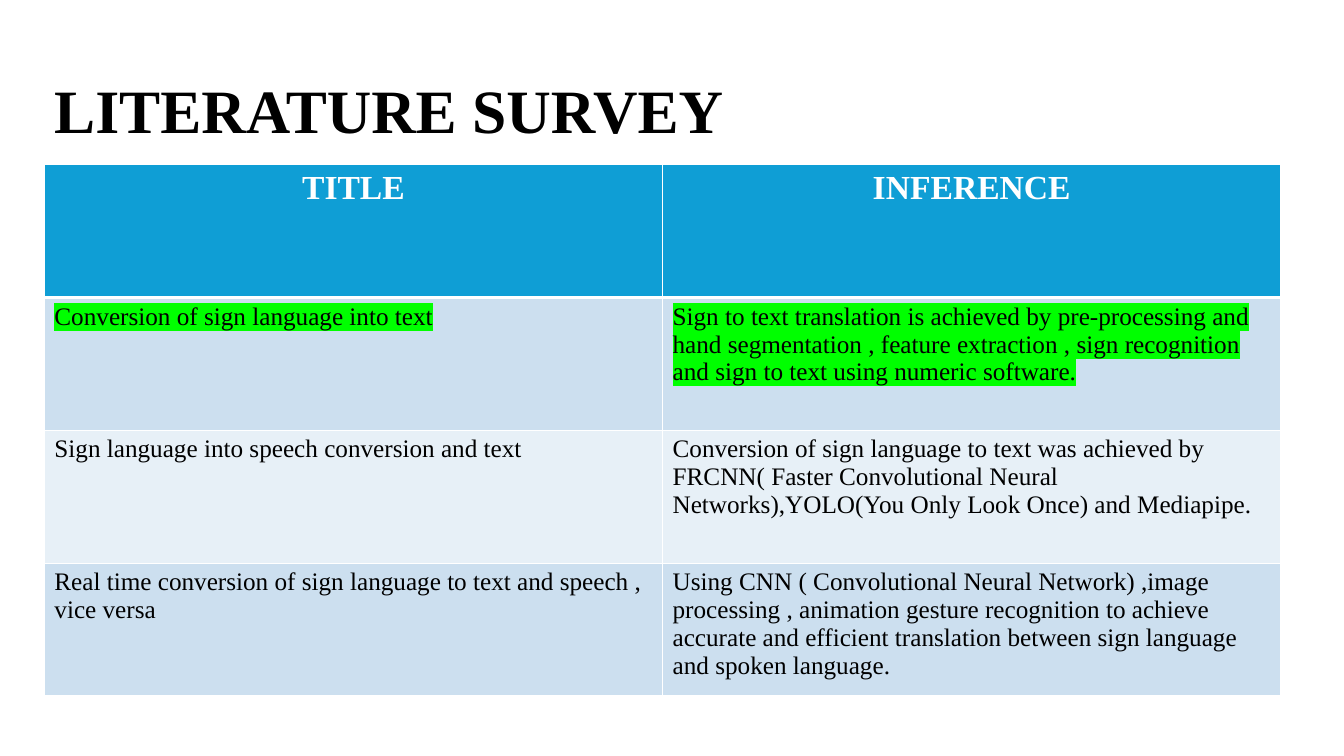
from lxml.etree import SubElement
from pptx import Presentation
from pptx.dml.color import RGBColor
from pptx.enum.text import MSO_ANCHOR as Anchor, PP_ALIGN as Align
from pptx.oxml import parse_xml
from pptx.oxml.ns import nsdecls, qn
from pptx.util import Pt

FONT = "Times New Roman"
COLORS = {
    "text": "000000",
    "white": "FFFFFF",
    "header": "0F9ED5",
    "odd_row": "CCDFEF",
    "even_row": "E7F0F7",
    "highlight": "00FF00",
}
LEFT = Pt(31.7)
COLUMN_WIDTH = Pt(441.6)
ROW_HEIGHT = Pt(94.9)
HEADINGS = ["TITLE", "INFERENCE"]
SURVEY = [
    (
        ["Conversion of sign language into text"],
        ["Sign to text translation is achieved by pre-processing and hand "
         "segmentation , feature extraction , sign recognition and sign to text "
         "using numeric software."],
    ),
    (
        ["Sign language into speech conversion and text"],
        ["Conversion of sign language to text was achieved by",
         "FRCNN( Faster Convolutional Neural Networks),YOLO(You Only Look Once) "
         "and Mediapipe."],
    ),
    (
        ["Real time conversion of sign language to text and speech , vice versa"],
        ["Using CNN ( Convolutional Neural Network) ,image processing , animation "
         "gesture recognition to achieve accurate and efficient translation "
         "between sign language and spoken language."],
    ),
]


def add_span(para, text, size, color, bold=False, highlight=None):
    span = para.add_run()
    span.text = text
    font = span.font
    font.size = Pt(size)
    font.bold = bold
    font.color.rgb = RGBColor.from_string(COLORS[color])
    font.name = FONT
    if highlight:
        mark = parse_xml(
            f'<a:highlight {nsdecls("a")}><a:srgbClr val="{COLORS[highlight]}"/></a:highlight>'
        )
        font._element.find(qn("a:latin")).addprevious(mark)


def add_title(page, text):
    box = page.shapes.add_textbox(LEFT, Pt(28.8), Pt(861.8), Pt(104.4))
    frame = box.text_frame
    frame.word_wrap = True
    frame.vertical_anchor = Anchor.MIDDLE
    para = frame.paragraphs[0]
    para.line_spacing = 0.9
    add_span(para, text, 44, "text", bold=True)


def set_borders(cell, top=1, bottom=1):
    properties = cell._tc.get_or_add_tcPr()
    widths = {"lnL": 1, "lnR": 1, "lnT": top, "lnB": bottom}
    for side, width in widths.items():
        line = SubElement(properties, qn(f"a:{side}"), w=str(Pt(width)))
        fill = SubElement(line, qn("a:solidFill"))
        SubElement(fill, qn("a:srgbClr"), val=COLORS["white"])


def fill_cell(cell, lines, fill, align, **style):
    cell.fill.solid()
    cell.fill.fore_color.rgb = RGBColor.from_string(COLORS[fill])
    frame = cell.text_frame
    for index, line in enumerate(lines):
        para = frame.add_paragraph() if index else frame.paragraphs[0]
        para.alignment = align
        add_span(para, line, **style)


def add_survey_table(page):
    row_count = len(SURVEY) + 1
    column_count = len(HEADINGS)
    table = page.shapes.add_table(
        row_count, column_count, LEFT, Pt(117.7),
        COLUMN_WIDTH * column_count, ROW_HEIGHT * row_count,
    ).table
    for column in table.columns:
        column.width = COLUMN_WIDTH
    for row in table.rows:
        row.height = ROW_HEIGHT

    for column, heading in enumerate(HEADINGS):
        cell = table.cell(0, column)
        set_borders(cell, bottom=3)
        fill_cell(cell, [heading], "header", Align.CENTER,
                  size=24, color="white", bold=True)

    for row, entry in enumerate(SURVEY, start=1):
        first = row == 1
        for column, lines in enumerate(entry):
            cell = table.cell(row, column)
            set_borders(cell, top=3 if first else 1)
            fill_cell(cell, lines, "odd_row" if row % 2 else "even_row", Align.LEFT,
                      size=18, color="text", highlight="highlight" if first else None)


def main():
    deck = Presentation()
    deck.slide_width = Pt(960)
    deck.slide_height = Pt(540)
    page = deck.slides.add_slide(deck.slide_layouts[6])
    add_title(page, "LITERATURE SURVEY")
    add_survey_table(page)
    deck.save("out.pptx")


if __name__ == "__main__":
    main()
